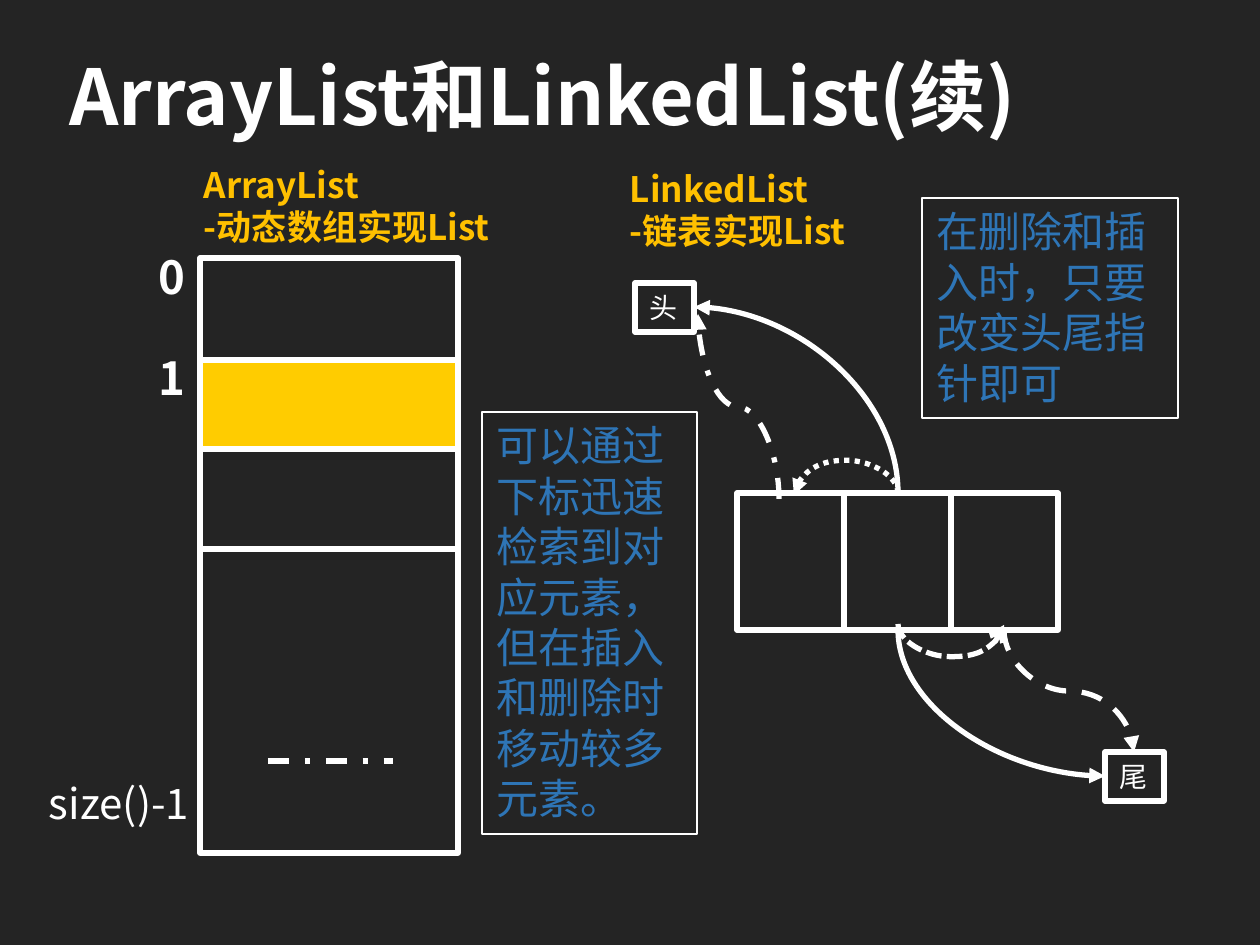
import dataclasses
import pptx
import pptx.util
import pptx.oxml
import pptx.oxml.ns
import pptx.dml.color
import pptx.enum.dml
import pptx.enum.shapes
import pptx.enum.text

qn = pptx.oxml.ns.qn
Dash = pptx.enum.dml.MSO_LINE
Kind = pptx.enum.shapes.MSO_CONNECTOR
Rect = pptx.enum.shapes.MSO_SHAPE.RECTANGLE


@dataclasses.dataclass(frozen=True)
class Theme:
    face: str = "Noto Sans CJK SC"
    back: str = "242424"
    white: str = "FFFFFF"
    gold: str = "FFC000"
    item: str = "FFCC00"
    blue: str = "2E75B6"
    title: int = 44
    index: int = 26
    body: int = 24
    head: int = 20
    node: int = 16
    thick: int = 3
    thin: int = 1


theme = Theme()


def px(count):
    return pptx.util.Emu(round(count * 914400 / 126))


def tint(code):
    return pptx.dml.color.RGBColor.from_string(code)


def add_run(para, text, size, color, bold=False):
    run = para.add_run()
    run.text = text
    font = run.font
    font.size = pptx.util.Pt(size)
    font.bold = bold
    font.name = theme.face
    font.color.rgb = tint(color)
    east = pptx.oxml.parse_xml(
        f'<a:ea {pptx.oxml.ns.nsdecls("a")} typeface="{theme.face}"/>')
    run._r.rPr.find(qn("a:latin")).addnext(east)


def fill_text(frame, lines, size, color, bold=False, wrap=True):
    frame.word_wrap = wrap
    frame.auto_size = pptx.enum.text.MSO_AUTO_SIZE.NONE
    frame.vertical_anchor = pptx.enum.text.MSO_ANCHOR.TOP
    frame.margin_left = frame.margin_right = px(15)
    frame.margin_top = frame.margin_bottom = px(8)
    for spot, text in enumerate(lines):
        para = frame.add_paragraph() if spot else frame.paragraphs[0]
        para.alignment = pptx.enum.text.PP_ALIGN.LEFT
        add_run(para, text, size, color, bold)


def add_text(slide, box, lines, size, color, bold=False, wrap=True):
    shape = slide.shapes.add_textbox(*map(px, box))
    fill_text(shape.text_frame, lines, size, color, bold, wrap)


def add_box(slide, box, fill=None, width=theme.thick):
    shape = slide.shapes.add_shape(Rect, *map(px, box))
    shape.shadow.inherit = False
    if fill:
        shape.fill.solid()
        shape.fill.fore_color.rgb = tint(fill)
    else:
        shape.fill.background()
    shape.line.color.rgb = tint(theme.white)
    shape.line.width = pptx.util.Pt(width)
    return shape


def add_line(slide, kind, ends, dash=None):
    line = slide.shapes.add_connector(kind, *map(px, ends))
    line.line.color.rgb = tint(theme.white)
    line.line.width = pptx.util.Pt(theme.thick)
    if dash:
        line.line.dash_style = dash
    props = line._element.spPr
    props.append(props.makeelement(qn("a:effectLst"), {}))
    return line


def add_curve(slide, start, end, down, bend=None, dash=None, tip="triangle"):
    (x1, y1), (x2, y2) = start, end
    wide, high = abs(y2 - y1), abs(x2 - x1)
    left, top = (x1 + x2 - wide) / 2, (y1 + y2 - high) / 2
    line = add_line(slide, Kind.CURVE,
                    (left, top, left + wide, top + high), dash)
    props = line._element.spPr
    frame = props.find(qn("a:xfrm"))
    frame.set("rot", str((90 if down else 270) * 60000))
    frame.set("flipV", "1")
    ahead = (y2 > y1) == down
    if not ahead:
        frame.set("flipH", "1")
    shape = props.find(qn("a:prstGeom"))
    if bend is None:
        shape.set("prst", "curvedConnector2")
    else:
        ratio = bend / wide * (1 if ahead else -1)
        guide = shape.makeelement(
            qn("a:gd"), {"name": "adj1", "fmla": f"val {round(ratio * 100000)}"})
        shape.find(qn("a:avLst")).append(guide)
    edge = props.find(qn("a:ln"))
    edge.append(edge.makeelement(qn("a:tailEnd"), {"type": tip}))


def add_title(slide, box, text):
    title = slide.shapes.title
    title.left, title.top, title.width, title.height = map(px, box)
    frame = title.text_frame
    frame.auto_size = pptx.enum.text.MSO_AUTO_SIZE.NONE
    frame.vertical_anchor = pptx.enum.text.MSO_ANCHOR.MIDDLE
    para = frame.paragraphs[0]
    para.alignment = pptx.enum.text.PP_ALIGN.LEFT
    add_run(para, text, theme.title, theme.white, True)


def add_head(slide, x, y, lines):
    add_text(slide, (x, y, 426, 102), lines, theme.head, theme.gold, True)


def add_note(slide, box, text):
    shape = add_box(slide, box, width=theme.thin)
    fill_text(shape.text_frame, [text], theme.body, theme.blue)


def add_array(slide, x, y, wide, high):
    add_head(slide, x - 11, y - 102, ["ArrayList", "-动态数组实现List"])
    add_box(slide, (x, y, wide, high))
    add_box(slide, (x, y + 102, wide, 89), theme.item)
    add_line(slide, Kind.STRAIGHT, (x, y + 291, x + wide, y + 291))
    add_line(slide, Kind.STRAIGHT, (x + 68, y + 503, x + 193, y + 503),
             Dash.DASH_DOT)
    for spot in range(2):
        add_text(slide, (x - 54, y - 17 + 101 * spot, 28, 74), [str(spot)],
                 theme.index, theme.white, True, False)
    add_text(slide, (x - 166, y + 511, 179, 69), ["size()-1"],
             theme.body, theme.white)


def add_end(slide, x, y, text):
    shape = add_box(slide, (x, y, 59, 49))
    fill_text(shape.text_frame, [text], theme.node, theme.white, wrap=False)


def add_chain(slide, x, y):
    add_head(slide, x, y, ["LinkedList", "-链表实现List"])
    left, top, wide, high = x + 122, y + 333, 107, 137
    for spot in range(3):
        add_box(slide, (left + wide * spot, top, wide, high))
    add_end(slide, x + 20, y + 123, "头")
    add_end(slide, x + 490, y + 592, "尾")
    mid, last, base = left + 161, left + 267, top + high
    add_curve(slide, (mid, top), (x + 79, y + 147), False)
    add_curve(slide, (mid, base), (x + 490, y + 616), True)
    add_curve(slide, (mid, top), (left + 57, top + 2), False, 33,
              Dash.ROUND_DOT)
    add_curve(slide, (left + 42, top + 6), (x + 83, y + 154), False, 92,
              Dash.DASH_DOT)
    add_curve(slide, (mid, base - 6), (last, base - 5), True, 33,
              Dash.SQUARE_DOT, "arrow")
    add_curve(slide, (last, base), (x + 519, y + 592), True, 61, Dash.DASH)


def main():
    deck = pptx.Presentation()
    deck.slide_width, deck.slide_height = px(1260), px(945)
    slide = deck.slides.add_slide(deck.slide_layouts[0])
    sub = slide.placeholders[1]._element
    sub.getparent().remove(sub)
    slide.background.fill.solid()
    slide.background.fill.fore_color.rgb = tint(theme.back)
    add_title(slide, (57, 29, 1145, 131), "ArrayList和LinkedList(续)")
    add_array(slide, 200, 258, 258, 595)
    add_chain(slide, 615, 160)
    add_note(slide, (922, 198, 256, 220), "在删除和插入时，只要改变头尾指针即可")
    add_note(slide, (482, 412, 215, 422),
             "可以通过下标迅速检索到对应元素，但在插入和删除时移动较多元素。")
    deck.save("out.pptx")


if __name__ == "__main__":
    main()
